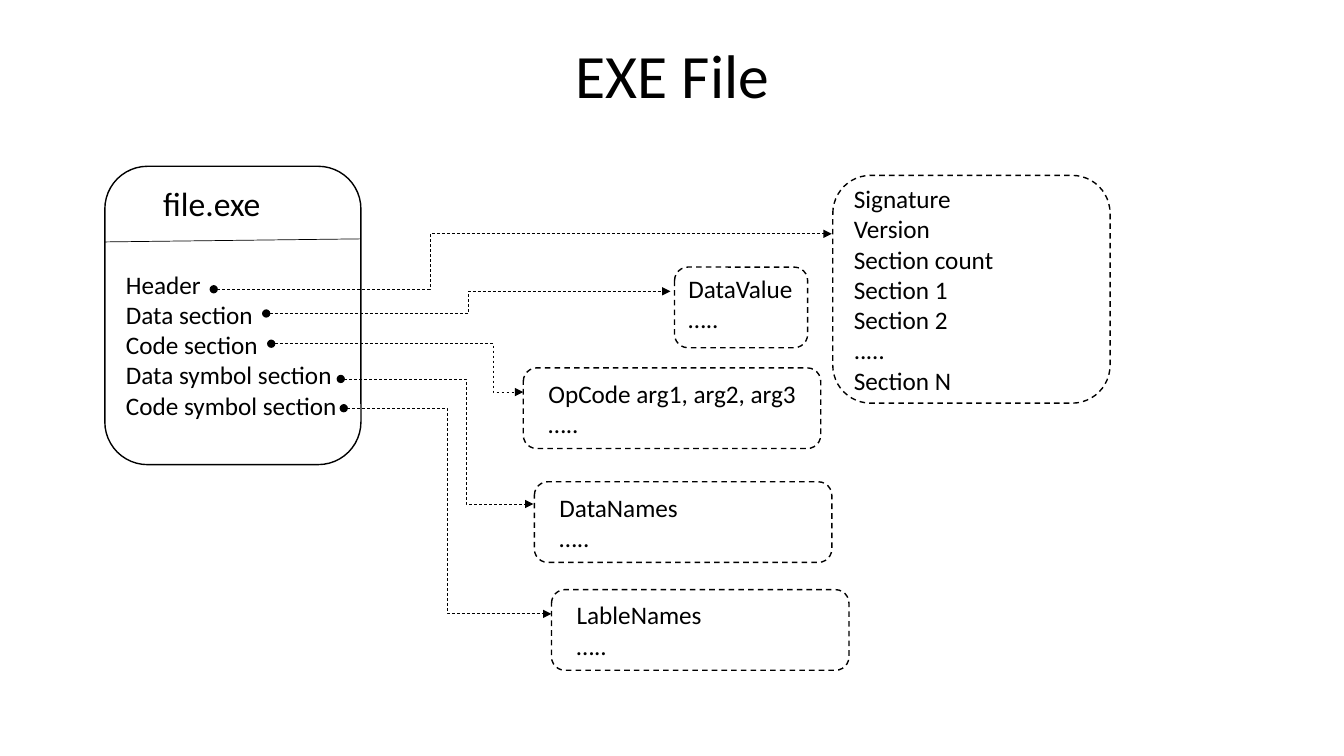
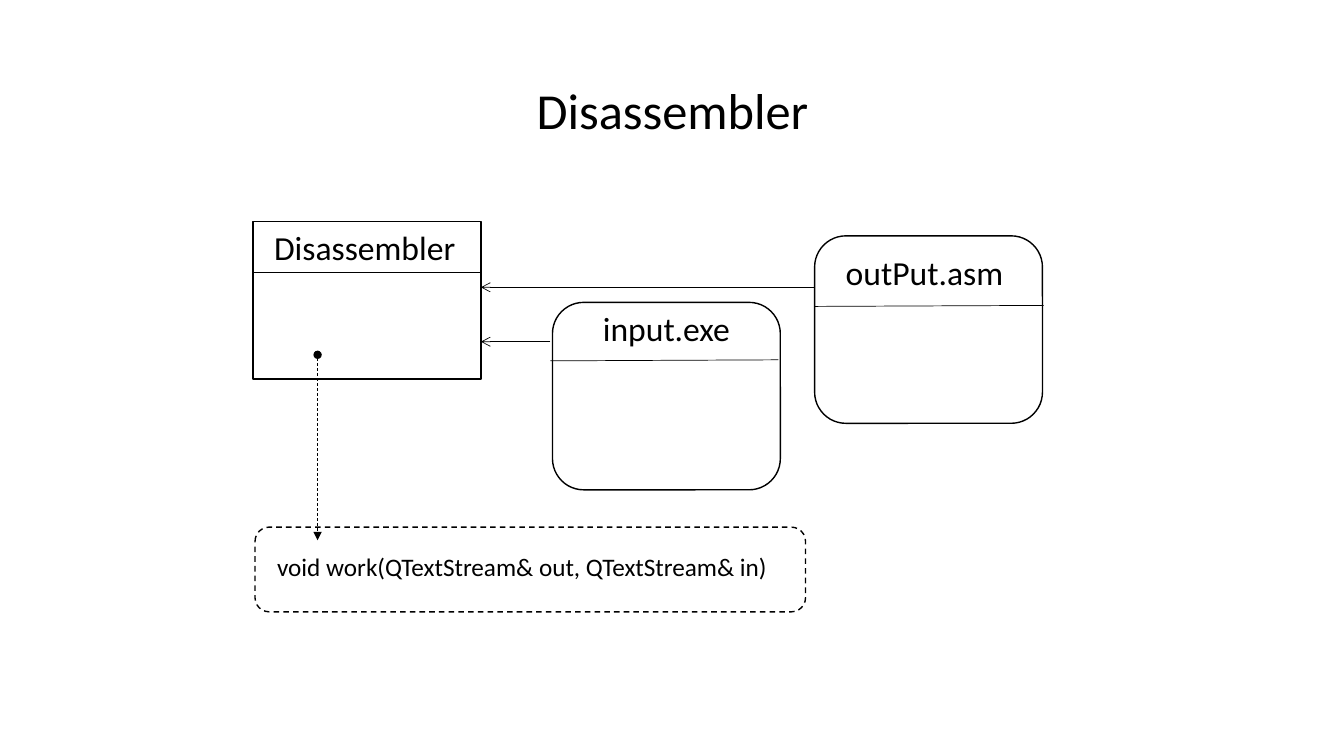
from lxml import etree
from pptx import Presentation
from pptx.dml.color import RGBColor
from pptx.enum.dml import MSO_LINE
from pptx.enum.shapes import MSO_CONNECTOR as Link, MSO_SHAPE as Preset
from pptx.enum.text import MSO_ANCHOR as Anchor, MSO_AUTO_SIZE as AutoSize, PP_ALIGN as Align
from pptx.oxml.ns import qn
from pptx.util import Inches, Pt

INK = RGBColor(0x00, 0x00, 0x00)
PAPER = RGBColor(0xFF, 0xFF, 0xFF)
FONT = "Calibri"
TITLE_ONLY = 5
TITLE_BOX = (0.92, 0.4, 11.5, 1.45)
CAPTION_SIZE, BODY_SIZE = 24, 18
DETAIL_SIZE = (2.95, 0.8)
DETAIL_INDENT = 0.21
DOTS = "….."


def write(frame, lines, size, align=Align.LEFT):
    """Fill a text frame with one paragraph per line."""
    frame.word_wrap = True
    frame.text = "\n".join(lines)
    for paragraph in frame.paragraphs:
        paragraph.alignment = align
        paragraph.font.name = FONT
        paragraph.font.size = Pt(size)
        paragraph.font.color.rgb = INK


def add_titled_slide(deck, title, size, anchor):
    """Add a slide with the shared title style."""
    slide = deck.slides.add_slide(deck.slide_layouts[TITLE_ONLY])
    heading = slide.shapes.title
    heading.left, heading.top, heading.width, heading.height = map(Inches, TITLE_BOX)
    frame = heading.text_frame
    write(frame, [title], size, Align.CENTER)
    frame.auto_size = AutoSize.NONE
    frame.vertical_anchor = anchor
    frame.paragraphs[0].line_spacing = 0.9
    return slide


def add_text(slide, box, lines, size=BODY_SIZE, align=Align.LEFT):
    """Add free-standing text."""
    write(slide.shapes.add_textbox(*map(Inches, box)).text_frame, lines, size, align)


def add_outline(slide, preset, box, dashed=False):
    """Add a white shape with a thin black outline."""
    outline = slide.shapes.add_shape(preset, *map(Inches, box))
    outline.shadow.inherit = False
    outline.fill.solid()
    outline.fill.fore_color.rgb = PAPER
    outline.line.color.rgb = INK
    outline.line.width = Pt(1)
    if dashed:
        outline.line.dash_style = MSO_LINE.DASH
    return outline


def add_detail(slide, box, lines=(), indent=0.1):
    """Add a dashed rounded box, with its lines of text if any."""
    detail = add_outline(slide, Preset.ROUNDED_RECTANGLE, box, dashed=True)
    if lines:
        write(detail.text_frame, lines, BODY_SIZE)
        detail.text_frame.margin_left = Inches(indent)
        detail.text_frame.vertical_anchor = Anchor.MIDDLE


def add_line(slide, start, end, kind=Link.STRAIGHT, dashed=False, head=None, tail=None):
    """Add a thin line with optional dashes and end marks."""
    line = slide.shapes.add_connector(kind, *map(Inches, start + end))
    line.line.color.rgb = INK
    line.line.width = Pt(0.5)
    if dashed:
        line.line.dash_style = MSO_LINE.DASH
    stroke = line.line._get_or_add_ln()
    for tag, mark in (("a:headEnd", head), ("a:tailEnd", tail)):
        if mark:
            etree.SubElement(stroke, qn(tag)).set("type", mark)
    etree.SubElement(line._element.spPr, qn("a:effectLst"))
    return line


def add_pointer(slide, start, end, bend=None):
    """Add a dashed pointer from a dot; bend is the share of its width before the turn."""
    kind = Link.STRAIGHT if bend is None else Link.ELBOW
    pointer = add_line(slide, start, end, kind, dashed=True, head="oval", tail="triangle")
    if bend is not None:
        geometry = pointer._element.spPr.find(qn("a:prstGeom"))
        guides = geometry.find(qn("a:avLst"))
        if guides is None:
            guides = etree.SubElement(geometry, qn("a:avLst"))
        guide = etree.SubElement(guides, qn("a:gd"))
        guide.set("name", "adj1")
        guide.set("fmla", f"val {round(bend * 100000)}")


def add_card(slide, preset, box, divider, caption, caption_box, align=Align.LEFT):
    """Add a box whose caption is set above a dividing line."""
    add_outline(slide, preset, box)
    add_line(slide, *divider)
    add_text(slide, caption_box, [caption], CAPTION_SIZE, align)


def build_exe_file(deck):
    """Show the sections of an executable and what each one holds."""
    slide = add_titled_slide(deck, "EXE File", 44, Anchor.TOP)
    add_card(slide, Preset.ROUNDED_RECTANGLE, (1.04, 1.65, 2.54, 2.96),
             ((1.04, 2.4), (3.58, 2.37)), "file.exe", (1.52, 1.77, 2.06, 0.5))
    add_text(slide, (1.15, 2.62, 2.48, 1.6),
             ["Header", "Data section", "Code section",
              "Data symbol section", "Code symbol section"])

    add_detail(slide, (8.26, 1.74, 2.75, 2.26),
               ["Signature", "Version", "Section count", "Section 1",
                "Section 2", "..…", "Section N"])
    add_detail(slide, (6.69, 2.65, 1.32, 0.8))
    add_text(slide, (6.73, 2.66, 1.4, 0.71), ["DataValue", DOTS])
    for left, top, content in (
        (5.19, 3.65, "OpCode arg1, arg2, arg3"),
        (5.3, 4.78, "DataNames"),
        (5.47, 5.85, "LableNames"),
    ):
        add_detail(slide, (left, top, *DETAIL_SIZE), [content, DOTS], DETAIL_INDENT)

    for section, target, bend in (
        ((2.12, 2.87), (8.25, 2.32), 0.35),
        ((2.64, 3.11), (6.65, 2.89), 0.5),
        ((2.69, 3.41), (5.19, 3.89), 0.88),
        ((3.38, 3.76), (5.29, 5), 0.65),
        ((3.41, 4.05), (5.47, 6.09), 0.5),
    ):
        add_pointer(slide, section, target, bend)


def build_disassembler(deck):
    """Show the disassembler, its two files and its work function."""
    slide = add_titled_slide(deck, "Disassembler", 36, Anchor.MIDDLE)
    add_card(slide, Preset.RECTANGLE, (2.51, 2.2, 2.26, 1.56),
             ((2.5, 2.7), (4.77, 2.7)), "Disassembler", (2.62, 2.2, 2.1, 0.5))
    add_card(slide, Preset.ROUNDED_RECTANGLE, (8.08, 2.34, 2.26, 1.86),
             ((8.08, 3.04), (10.35, 3.03)), "outPut.asm", (8.29, 2.45, 2.06, 0.5))
    add_card(slide, Preset.ROUNDED_RECTANGLE, (5.48, 3, 2.26, 1.86),
             ((5.46, 3.58), (7.72, 3.57)), "input.exe", (5.58, 3.01, 2.06, 0.5),
             Align.CENTER)
    for file_edge, level in ((8.08, 2.85), (5.46, 3.39)):
        add_line(slide, (file_edge, level), (4.77, level), tail="arrow")

    add_detail(slide, (2.53, 5.23, 5.46, 0.84))
    add_pointer(slide, (3.15, 3.52), (3.15, 5.36))
    add_text(slide, (2.65, 5.42, 6.67, 0.4),
             ["void work(QTextStream& out, QTextStream& in)"])


def main():
    """Build both slides and save the deck."""
    deck = Presentation()
    deck.slide_width, deck.slide_height = Inches(13.33), Inches(7.5)
    build_exe_file(deck)
    build_disassembler(deck)
    deck.save("out.pptx")


main()
